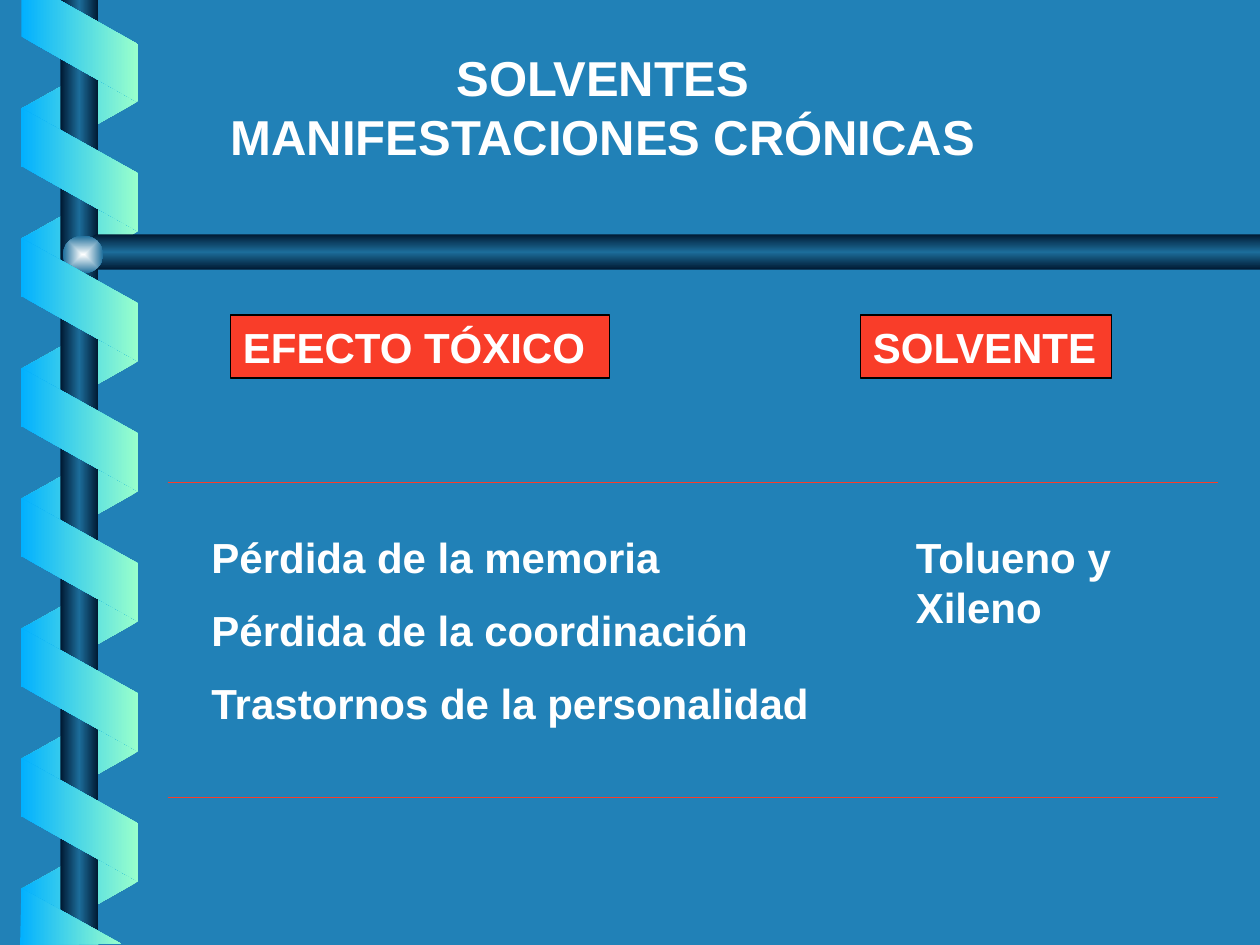
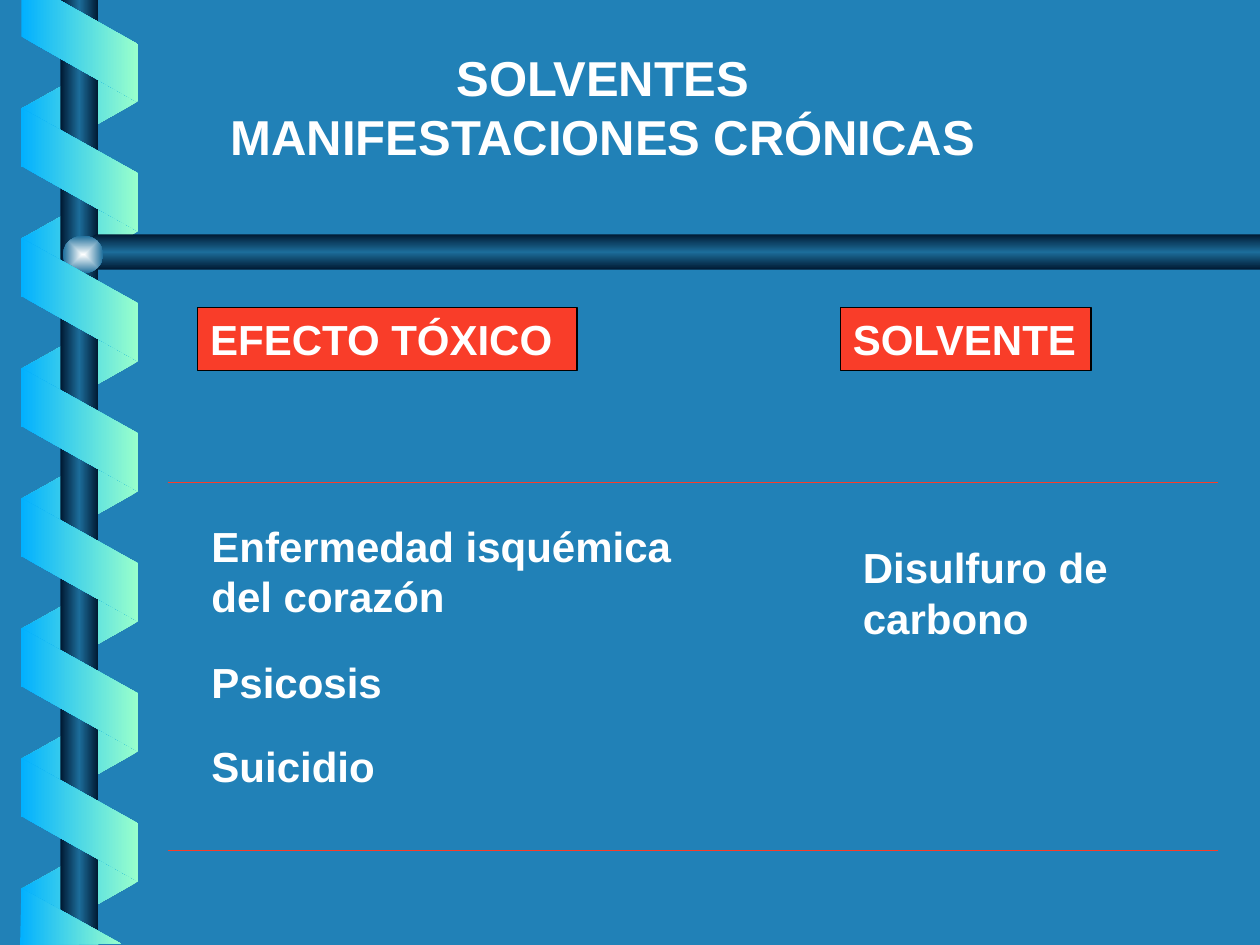
from pptx import Presentation
from pptx.dml.color import RGBColor
from pptx.enum.shapes import MSO_CONNECTOR, MSO_SHAPE
from pptx.enum.text import MSO_ANCHOR, MSO_AUTO_SIZE, PP_ALIGN
from pptx.oxml import parse_xml
from pptx.oxml.ns import nsdecls, qn
from pptx.util import Inches, Pt

RECTANGLE, OVAL, PARALLELOGRAM = MSO_SHAPE.RECTANGLE, MSO_SHAPE.OVAL, MSO_SHAPE.PARALLELOGRAM
STRAIGHT = MSO_CONNECTOR.STRAIGHT
LEFT, CENTER = PP_ALIGN.LEFT, PP_ALIGN.CENTER
TOP = MSO_ANCHOR.TOP
NO_AUTOFIT = MSO_AUTO_SIZE.NONE

BLUE = RGBColor(0x21, 0x81, 0xB7)
RED = RGBColor(0xF9, 0x3D, 0x29)
WHITE = RGBColor(0xFF, 0xFF, 0xFF)
BLACK = RGBColor(0x00, 0x00, 0x00)
SKY = RGBColor(0x01, 0xB0, 0xFF)
MINT = RGBColor(0x99, 0xFF, 0xCC)
NAVY = RGBColor(0x00, 0x19, 0x32)
STEEL = RGBColor(0x1C, 0x6D, 0x9A)
PEARL = RGBColor(0xFE, 0xFF, 0xFF)

FONT = "Arial"
TURN = 1.032  # height of one turn of the ribbon
LINEAR = '<a:lin ang="0" scaled="1"/>'
DOWNWARD = '<a:lin ang="5400000" scaled="1"/>'
FROM_CENTER = '<a:path path="rect"><a:fillToRect l="50000" t="50000" r="50000" b="50000"/></a:path>'

SLIDES = [
    {
        "heading_top": 2.5, "effect_left": 1.83, "solvent_left": 6.83, "rule_bottom": 6.33,
        "texts": [
            (["Tolueno y", "Xileno"], 7.17, 4.17, 1.77),
            (["Pérdida de la memoria"], 1.58, 4.17, 3.75),
            (["Pérdida de la coordinación"], 1.58, 4.75, 4.46),
            (["Trastornos de la personalidad"], 1.58, 5.33, 4.96),
        ],
    },
    {
        "heading_top": 2.44, "effect_left": 1.57, "solvent_left": 6.67, "rule_bottom": 6.75,
        "texts": [
            (["Disulfuro de", "carbono"], 6.75, 4.25, 2.23),
            (["Enfermedad isquémica", "del corazón"], 1.58, 4.08, 3.94),
            (["Psicosis"], 1.58, 5.16, 1.55),
            (["Suicidio"], 1.58, 5.83, 1.49),
        ],
    },
]


def paint_gradient(shape, colors, direction=LINEAR):
    """Fill with evenly spaced colours that stay put when the shape is rotated."""
    stops = "".join(
        f'<a:gs pos="{100000 * index // (len(colors) - 1)}"><a:srgbClr val="{color}"/></a:gs>'
        for index, color in enumerate(colors)
    )
    gradient = parse_xml(
        f'<a:gradFill rotWithShape="0" {nsdecls("a")}><a:gsLst>{stops}</a:gsLst>{direction}</a:gradFill>'
    )
    shape.shadow.inherit = False
    shape.line.fill.background()
    shape.fill.solid()
    properties = shape.element.spPr
    properties.replace(properties.find(qn("a:solidFill")), gradient)


def write_text(shape, lines, size=24, alignment=LEFT, wrap=False):
    frame = shape.text_frame
    frame.auto_size = NO_AUTOFIT
    frame.word_wrap = wrap
    frame.vertical_anchor = TOP
    frame.text = "\n".join(lines)
    for paragraph in frame.paragraphs:
        paragraph.alignment = alignment
        paragraph.font.name = FONT
        paragraph.font.size = Pt(size)
        paragraph.font.bold = True
        paragraph.font.color.rgb = WHITE


presentation = Presentation()
presentation.slide_width = Inches(10)
presentation.slide_height = Inches(7.5)
layout = presentation.slide_layouts.get_by_name("Title Only")
layout.background.fill.solid()
layout.background.fill.fore_color.rgb = BLUE
slides = [presentation.slides.add_slide(layout) for _ in SLIDES]

# Shared decoration: drawn on the first slide, then moved to the layout
shapes = slides[0].shapes
decoration = []

ribbon_back = [(0.37 + TURN * turn, 90, [MINT, SKY]) for turn in range(7)]
ribbon_front = [(0.88 + TURN * turn, 270, [SKY, MINT]) for turn in range(6)]
ribbon_ends = [
    [(0.17, 0), (0.17, 0.29), (1.09, 0.81), (1.09, 0.35), (0.47, 0)],
    [(0.96, 7.49), (0.17, 7.05), (0.16, 7.5)],
]
crossbar = [(10, 1.86), (0.76, 1.86), (0.6, 2), (0.76, 2.14), (10, 2.14)]

for band_top, rotation, colors in ribbon_back + ribbon_front:
    band = shapes.add_shape(PARALLELOGRAM, Inches(0.14), Inches(band_top), Inches(0.98), Inches(0.93))
    band.adjustments[0] = 0.56
    band.rotation = rotation
    if rotation == 90:
        band.element.spPr.get_or_add_xfrm().set("flipH", "1")
    paint_gradient(band, colors)
    decoration.append(band)

pole = shapes.add_shape(RECTANGLE, Inches(0.48), 0, Inches(0.3), Inches(7.5))
paint_gradient(pole, [NAVY, STEEL, NAVY])
knob = shapes.add_shape(OVAL, Inches(0.5), Inches(1.87), Inches(0.32), Inches(0.3))
paint_gradient(knob, [PEARL, STEEL], FROM_CENTER)

outlines = []
for points, colors, direction in [
    (crossbar, [NAVY, STEEL, NAVY], DOWNWARD),
    *[(points, [SKY, MINT], LINEAR) for points in ribbon_ends],
]:
    corners = [(Inches(x), Inches(y)) for x, y in points]
    builder = shapes.build_freeform(*corners[0])
    builder.add_line_segments(corners[1:], close=True)
    outline = builder.convert_to_shape()
    paint_gradient(outline, colors, direction)
    outlines.append(outline)

back_count = len(ribbon_back)
stacking = decoration[:back_count] + [pole, outlines[0], knob] + decoration[back_count:] + outlines[1:]
for shape in stacking:
    layout.shapes.element.append(shape.element)

# Contents of each slide
for slide, content in zip(slides, SLIDES):
    title = slide.shapes.title
    title.left, title.top = Inches(1.72), Inches(0.33)
    title.width, title.height = Inches(6.13), Inches(1.04)
    write_text(title, ["SOLVENTES", "MANIFESTACIONES CRÓNICAS"], size=28, alignment=CENTER, wrap=True)

    for heading, left, width in [
        ("SOLVENTE", content["solvent_left"], 1.99),
        ("EFECTO TÓXICO", content["effect_left"], 3.01),
    ]:
        label = slide.shapes.add_shape(
            RECTANGLE, Inches(left), Inches(content["heading_top"]), Inches(width), Inches(0.5)
        )
        label.shadow.inherit = False
        label.fill.solid()
        label.fill.fore_color.rgb = RED
        label.line.color.rgb = BLACK
        label.line.width = Pt(0.75)
        write_text(label, [heading], wrap=True)

    for lines, left, top, width in content["texts"]:
        height = 0.1 + 0.4 * len(lines)
        box = slide.shapes.add_textbox(Inches(left), Inches(top), Inches(width), Inches(height))
        write_text(box, lines)

    for rule_top in (3.83, content["rule_bottom"]):
        rule = slide.shapes.add_connector(
            STRAIGHT, Inches(1.33), Inches(rule_top), Inches(9.67), Inches(rule_top)
        )
        rule.line.color.rgb = RED
        rule.line.width = Pt(1)
        rule.element.spPr.append(parse_xml(f'<a:effectLst {nsdecls("a")}/>'))

presentation.save("out.pptx")
